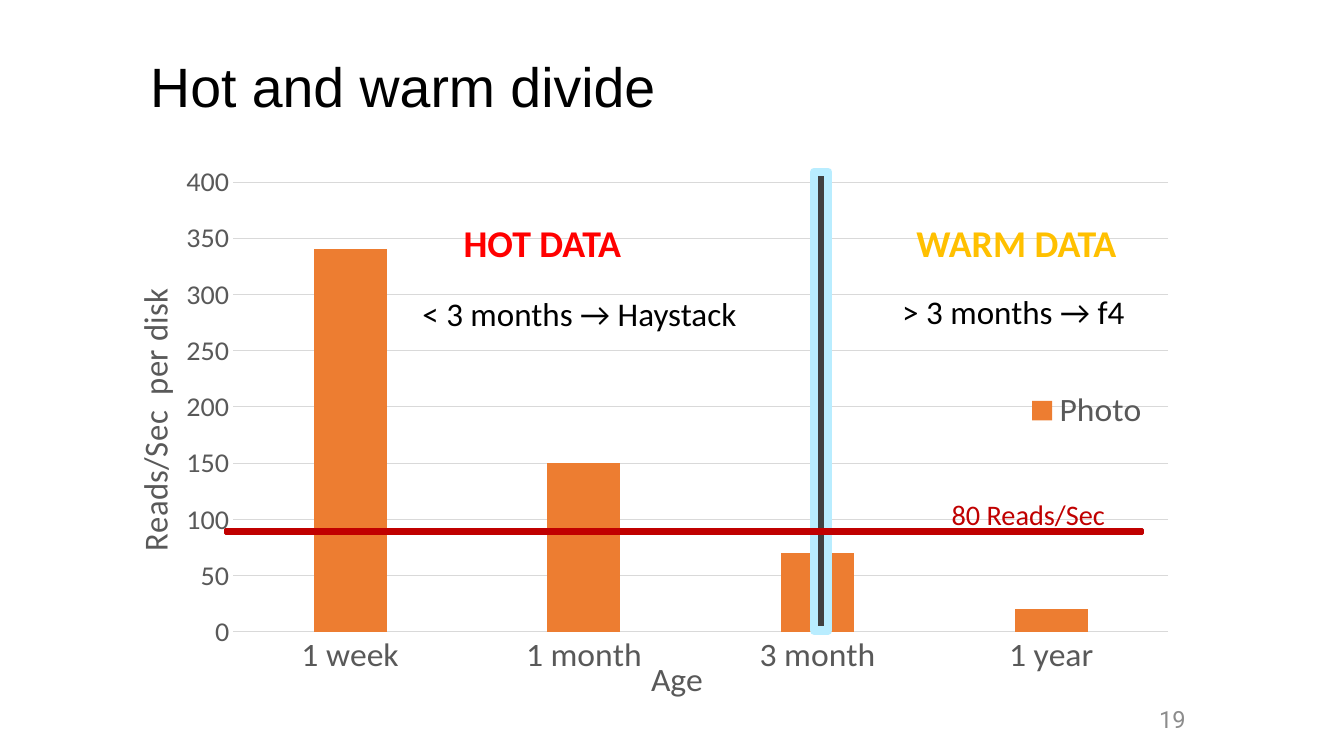
from pptx import Presentation
from pptx.chart.data import CategoryChartData
from pptx.dml.color import RGBColor
from pptx.enum import chart as charts, shapes, text
from pptx.oxml import parse_xml
from pptx.oxml.ns import nsdecls
from pptx.util import Inches, Pt

BLACK = RGBColor(0x00, 0x00, 0x00)
RED = RGBColor(0xFF, 0x00, 0x00)
AMBER = RGBColor(0xFF, 0xC0, 0x00)
DARK_RED = RGBColor(0xC0, 0x00, 0x00)
ORANGE = RGBColor(0xED, 0x7D, 0x31)
CHARCOAL = RGBColor(0x40, 0x40, 0x40)
PALE_BLUE = RGBColor(0xB9, 0xED, 0xFF)
AXIS_GRAY = RGBColor(0x59, 0x59, 0x59)
GRID_GRAY = RGBColor(0xD9, 0xD9, 0xD9)
NUMBER_GRAY = RGBColor(0x8C, 0x8C, 0x8C)


def set_font(font, size, color, name="Calibri", bold=False):
    for key, value in {"size": Pt(size), "name": name, "bold": bold}.items():
        setattr(font, key, value)
    font.color.rgb = color


def add_title(page, words):
    title = page.shapes.title
    frame = {"left": 1.39, "top": 0.58, "width": 10.54, "height": 0.61}
    for key, value in frame.items():
        setattr(title, key, Inches(value))
    title.text_frame.vertical_anchor = text.MSO_ANCHOR.MIDDLE
    para = title.text_frame.paragraphs[0]
    para.text = words
    para.alignment = text.PP_ALIGN.LEFT
    para.line_spacing = 0.9
    set_font(para.runs[0].font, 39.6, BLACK, "Arial")


def add_label(page, at, words, size, color, bold=False):
    box = page.shapes.add_textbox(*map(Inches, at))
    box.text_frame.word_wrap = False
    box.text_frame.auto_size = text.MSO_AUTO_SIZE.SHAPE_TO_FIT_TEXT
    para = box.text_frame.paragraphs[0]
    para.text = words
    set_font(para.runs[0].font, size, color, bold=bold)


def add_page_number(page, number):
    box = page.shapes.add_textbox(*map(Inches, (9.14, 6.95, 2.7, 0.4)))
    frame = box.text_frame
    margins = {"margin_left": 0.08, "margin_right": 0.08,
               "margin_top": 0.04, "margin_bottom": 0.04}
    for key, value in margins.items():
        setattr(frame, key, Inches(value))
    frame.word_wrap = True
    frame.vertical_anchor = text.MSO_ANCHOR.MIDDLE
    para = frame.paragraphs[0]
    para.text = number
    para.alignment = text.PP_ALIGN.RIGHT
    para.line_spacing = 0.9
    set_font(para.runs[0].font, 16.9, NUMBER_GRAY, "Roboto")


def add_bar(page, at, fill, line, line_width, rotation=0):
    bar = page.shapes.add_shape(shapes.MSO_SHAPE.RECTANGLE, *map(Inches, at))
    bar.shadow.inherit = False
    bar.rotation = rotation
    bar.fill.solid()
    bar.fill.fore_color.rgb = fill
    bar.line.color.rgb = line
    bar.line.width = Pt(line_width)
    # Round the corners of the outline
    bar.line.fill._xPr.append(parse_xml(f"<a:round {nsdecls('a')}/>"))


def set_layout(part, index, **place):
    """Place a chart part by fractions of the chart area."""
    for old in part.xpath("c:layout"):
        part.remove(old)
    modes = '<c:xMode val="edge"/><c:yMode val="edge"/>'
    if part.tag.endswith("plotArea"):
        modes = '<c:layoutTarget val="inner"/>' + modes
    sizes = "".join(f'<c:{key} val="{value}"/>' for key, value in place.items())
    part.insert(index, parse_xml(
        f"<c:layout {nsdecls('c')}><c:manualLayout>{modes}{sizes}"
        "</c:manualLayout></c:layout>"))


def format_axis(axis, title, size):
    axis.major_tick_mark = axis.minor_tick_mark = charts.XL_TICK_MARK.NONE
    set_font(axis.tick_labels.font, size, AXIS_GRAY)
    frame = axis.axis_title.text_frame
    frame.text = title
    set_font(frame.paragraphs[0].runs[0].font, 24, AXIS_GRAY)


def add_reads_chart(page):
    reads = CategoryChartData()
    reads.categories = ["1 week", "1 month", "3 month", "1 year"]
    reads.add_series("Photo", (340, 150, 70, 20))
    chart = page.shapes.add_chart(
        charts.XL_CHART_TYPE.COLUMN_CLUSTERED,
        *map(Inches, (1.25, 1.64, 10.34, 5.41)), reads).chart
    chart.has_title = False
    set_font(chart.font, 10, BLACK)

    # Columns
    plot = chart.plots[0]
    for key, value in {"gap_width": 219, "overlap": -27,
                       "vary_by_categories": False}.items():
        setattr(plot, key, value)
    column = plot.series[0].format.fill
    column.solid()
    column.fore_color.rgb = ORANGE

    # Axes and grid
    ages, rates = chart.category_axis, chart.value_axis
    format_axis(ages, "Age", 24)
    format_axis(rates, "Reads/Sec  per disk", 20)
    for key, value in {"minimum_scale": 0, "maximum_scale": 400,
                       "major_unit": 50}.items():
        setattr(rates, key, value)
    rates.format.line.fill.background()
    for line in (ages.format.line, rates.major_gridlines.format.line):
        line.color.rgb = GRID_GRAY
        line.width = Pt(0.75)

    # Legend
    chart.has_legend = True
    chart.legend.position = charts.XL_LEGEND_POSITION.RIGHT
    chart.legend.include_in_layout = False
    set_font(chart.legend.font, 24, AXIS_GRAY)

    # Places within the chart
    for query, index, place in (
            ("//c:plotArea", 0, {"x": 0.103, "y": 0.023, "w": 0.897, "h": 0.85}),
            ("//c:legend", 1, {"x": 0.862, "y": 0.415, "w": 0.12, "h": 0.08}),
            ("//c:catAx/c:title", 1, {"x": 0.498, "y": 0.91}),
            ("//c:valAx/c:title", 1, {"x": 0, "y": 0.227})):
        set_layout(chart.element.xpath(query)[0], index, **place)


def main():
    deck = Presentation()
    deck.slide_width, deck.slide_height = Inches(13.33), Inches(7.5)
    page = deck.slides.add_slide(deck.slide_layouts[5])

    add_title(page, "Hot and warm divide")
    add_reads_chart(page)
    add_page_number(page, "19")

    # Divide between hot and warm data
    add_bar(page, (5.87, 3.91, 4.55, 0.14), CHARCOAL, PALE_BLUE, 6, rotation=90)
    add_label(page, (4.5, 2.13, 1.78, 0.56), "HOT DATA", 27, RED, bold=True)
    add_label(page, (8.99, 2.13, 2.21, 0.56), "WARM DATA", 27, AMBER, bold=True)
    add_label(page, (4.09, 2.86, 3.38, 0.5), "< 3 months → Haystack", 23.6, BLACK)
    add_label(page, (8.85, 2.84, 2.46, 0.5), "> 3 months → f4", 23.6, BLACK)

    # Read rate threshold
    add_bar(page, (2.24, 5.25, 9.09, 0.04), DARK_RED, DARK_RED, 2)
    add_label(page, (9.34, 4.88, 1.75, 0.44), "80 Reads/Sec", 20.2, DARK_RED)

    deck.save("out.pptx")


if __name__ == "__main__":
    main()
